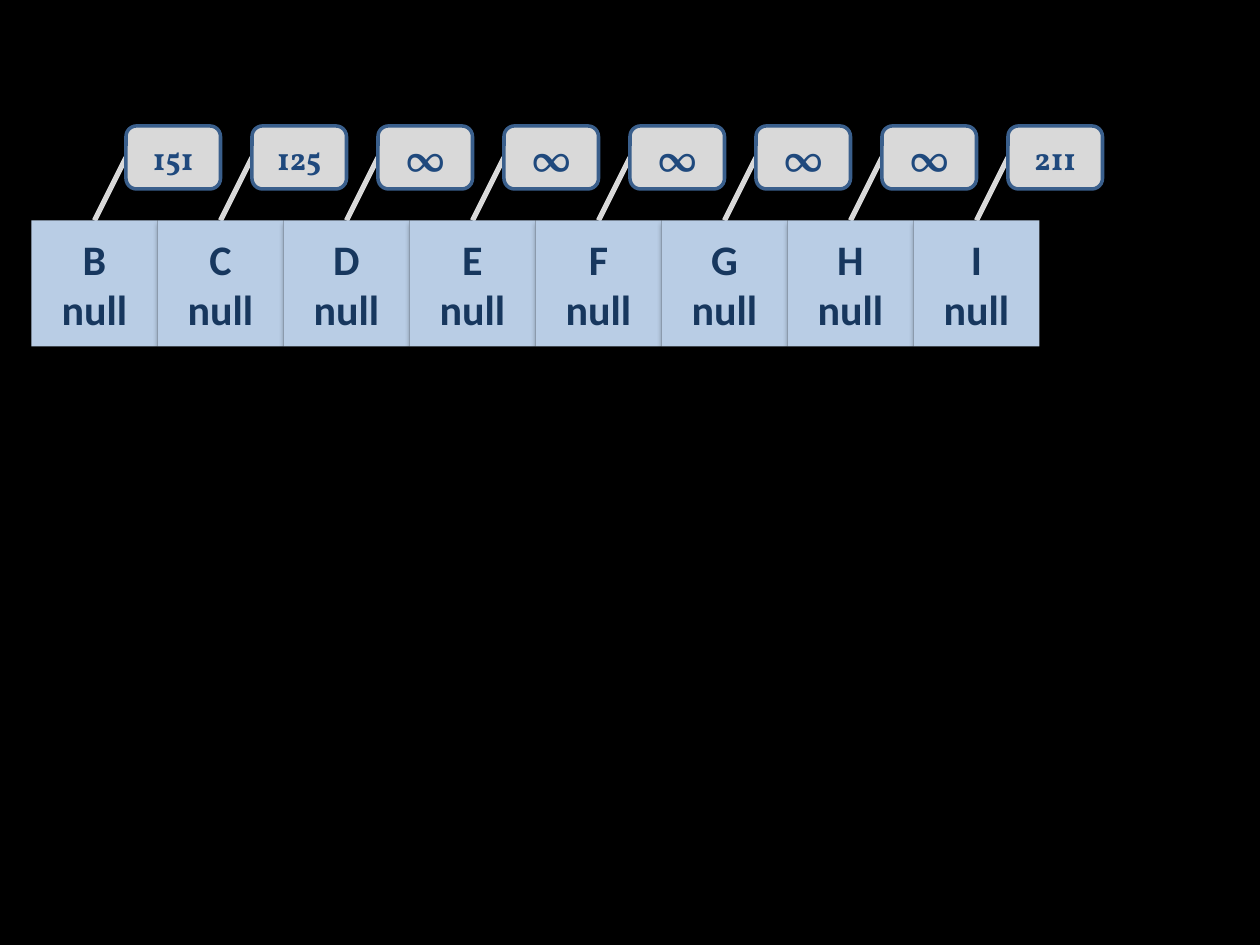
import lxml.etree
import pptx
import pptx.dml.color
import pptx.enum.shapes
import pptx.enum.text
import pptx.oxml
import pptx.oxml.ns
import pptx.util

RGBColor = pptx.dml.color.RGBColor
Inches = pptx.util.Inches
SHAPES = pptx.enum.shapes.MSO_SHAPE

BLACK = RGBColor(0x00, 0x00, 0x00)
CELL_BLUE = RGBColor(0xB9, 0xCD, 0xE5)
CELL_TEXT = RGBColor(0x17, 0x37, 0x5E)
BADGE_GRAY = RGBColor(0xD9, 0xD9, 0xD9)
BADGE_LINE = RGBColor(0x3A, 0x5F, 0x8C)
BADGE_TEXT = RGBColor(0x1F, 0x49, 0x7D)

VERTICES = [("B", "151"), ("C", "125"), ("D", "∞"), ("E", "∞"),
            ("F", "∞"), ("G", "∞"), ("H", "∞"), ("I", "211")]
COLUMN = 1
CELL_LEFT, CELL_TOP = 0.25, 1.75
BADGE_LEFT, BADGE_TOP = 1, 1
BADGE_WIDTH, BADGE_HEIGHT = 0.75, 0.5


def add_shadow(shape):
    """Give a shape or connector a soft shadow straight below it."""
    properties = shape._element.spPr
    for effects in properties.findall(pptx.oxml.ns.qn("a:effectLst")):
        properties.remove(effects)
    properties.append(pptx.oxml.parse_xml(
        f'<a:effectLst {pptx.oxml.ns.nsdecls("a")}>'
        '<a:outerShdw blurRad="39370" dist="22860" dir="5400000" rotWithShape="0">'
        '<a:srgbClr val="000000"><a:alpha val="35000"/></a:srgbClr>'
        '</a:outerShdw></a:effectLst>'))


def write_text(shape, lines, *, size, font, color):
    """Write centred bold lines into a shape, one paragraph each."""
    frame = shape.text_frame
    frame.word_wrap = True
    frame.vertical_anchor = pptx.enum.text.MSO_ANCHOR.MIDDLE
    frame.text = "\n".join(lines)
    for paragraph in frame.paragraphs:
        paragraph.alignment = pptx.enum.text.PP_ALIGN.CENTER
        run_font = paragraph.runs[0].font
        run_font.name = font
        run_font.size = pptx.util.Pt(size)
        run_font.bold = True
        run_font.color.rgb = color


def add_cell(slide, column, vertex):
    """Add the square of one vertex, with its empty predecessor."""
    cell = slide.shapes.add_shape(
        SHAPES.RECTANGLE, Inches(CELL_LEFT + column * COLUMN),
        Inches(CELL_TOP), Inches(COLUMN), Inches(COLUMN))
    cell.fill.solid()
    cell.fill.fore_color.rgb = CELL_BLUE
    cell.line.fill.background()
    add_shadow(cell)
    write_text(cell, [vertex, "null"], size=24, font="Calibri", color=CELL_TEXT)
    return cell


def add_badge(slide, column, distance):
    """Add the rounded distance badge above one vertex."""
    badge = slide.shapes.add_shape(
        SHAPES.ROUNDED_RECTANGLE, Inches(BADGE_LEFT + column * COLUMN),
        Inches(BADGE_TOP), Inches(BADGE_WIDTH), Inches(BADGE_HEIGHT))
    badge.shadow.inherit = False
    badge.fill.solid()
    badge.fill.fore_color.rgb = BADGE_GRAY
    badge.line.color.rgb = BADGE_LINE
    badge.line.width = pptx.util.Pt(2)
    write_text(badge, [distance], size=24 if distance == "∞" else 18,
               font="Vollkorn", color=BADGE_TEXT)
    return badge


def add_tether(slide, badge, cell):
    """Join a badge's left side to its cell's top, behind all shapes."""
    tether = slide.shapes.add_connector(
        pptx.enum.shapes.MSO_CONNECTOR.STRAIGHT, 0, 0, 0, 0)
    tether.begin_connect(badge, 1)
    tether.end_connect(cell, 0)
    tether.line.color.rgb = BADGE_GRAY
    tether.line.width = pptx.util.Pt(3)
    add_shadow(tether)
    slide.shapes._spTree.insert(2, tether._element)


def main():
    """Build the slide with the queue of vertices and distances."""
    presentation = pptx.Presentation()
    presentation.slide_width = Inches(10)
    presentation.slide_height = Inches(7.5)
    slide = presentation.slides.add_slide(presentation.slide_layouts[6])
    slide.background.fill.solid()
    slide.background.fill.fore_color.rgb = BLACK
    cells = [add_cell(slide, column, vertex)
             for column, (vertex, _) in enumerate(VERTICES)]
    badges = [add_badge(slide, column, distance)
              for column, (_, distance) in enumerate(VERTICES)]
    for badge, cell in reversed(list(zip(badges, cells))):
        add_tether(slide, badge, cell)
    presentation.save("out.pptx")


if __name__ == "__main__":
    main()
